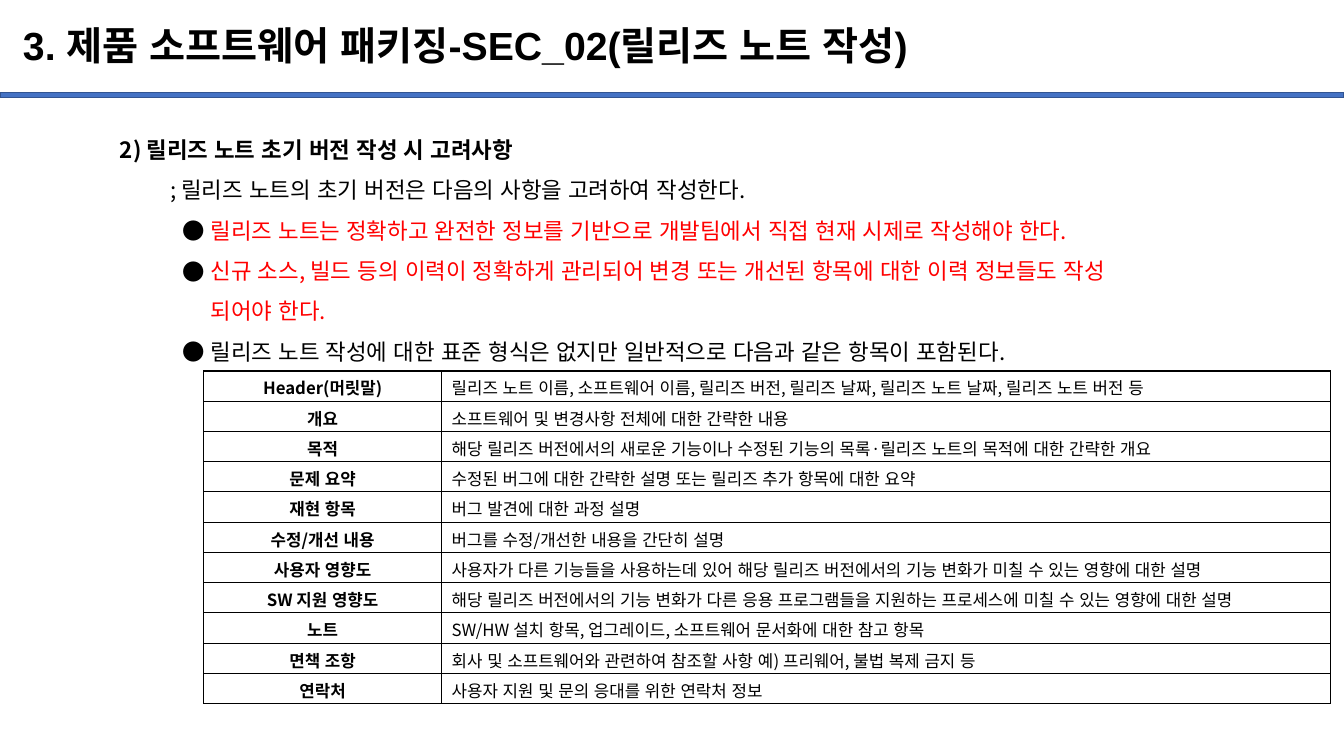
"""Build the slide on writing release notes."""
from lxml.etree import SubElement
from pptx import Presentation
from pptx.dml.color import RGBColor
from pptx.enum.lang import MSO_LANGUAGE_ID
from pptx.enum.shapes import MSO_SHAPE
from pptx.enum.text import MSO_ANCHOR, PP_ALIGN
from pptx.oxml.ns import qn
from pptx.util import Inches, Pt

BLACK = RGBColor(0x00, 0x00, 0x00)
RED = RGBColor(0xFF, 0x00, 0x00)
BLUE = RGBColor(0x44, 0x72, 0xC4)
NAVY = RGBColor(0x32, 0x54, 0x91)
SANS = "Noto Sans CJK KR"


def write(para, text, size=16, color=BLACK, bold=False, font=SANS,
          align=PP_ALIGN.LEFT, space=1.0, left=0, bullet=None):
    para.text = text
    para.alignment = align
    para.line_spacing = space
    props = para._p.get_or_add_pPr()
    props.set("marL", str(Inches(left)))
    if bullet:
        props.set("indent", str(Inches(-0.28)))
        tint = SubElement(props, qn("a:buClr"))
        SubElement(tint, qn("a:srgbClr"), val=str(BLACK))
        SubElement(props, qn("a:buFont"), typeface=SANS)
        SubElement(props, qn("a:buChar"), char=bullet)
    for run in para.runs:
        run.font.size = Pt(size)
        run.font.bold = bold
        run.font.name = font
        run.font.color.rgb = color
        run.font.language_id = MSO_LANGUAGE_ID.KOREAN
        latin = run._r.rPr.find(qn("a:latin"))
        asian = SubElement(run._r.rPr, qn("a:ea"), typeface=SANS)
        latin.addnext(asian)


deck = Presentation()
deck.slide_width = Inches(13.33)
deck.slide_height = Inches(7.5)
slide = deck.slides.add_slide(deck.slide_layouts[6])
shapes = slide.shapes

rule = shapes.add_shape(MSO_SHAPE.RECTANGLE, 0, Inches(0.92), Inches(13.33), Inches(0.05))
rule.shadow.inherit = False
rule.fill.solid()
rule.fill.fore_color.rgb = BLUE
rule.line.color.rgb = NAVY
rule.line.width = Pt(1)

title = shapes.add_textbox(Inches(0.13), Inches(0.1), Inches(11.5), Inches(0.74)).text_frame
title.word_wrap = True
title.vertical_anchor = MSO_ANCHOR.MIDDLE
write(title.paragraphs[0], "3. 제품 소프트웨어 패키징-SEC_02(릴리즈 노트 작성)",
      size=28, bold=True, font="Arial", space=0.9)

body = shapes.add_textbox(Inches(1.09), Inches(1.17), Inches(11.72), Inches(2.52)).text_frame
body.word_wrap = True
write(body.paragraphs[0], "2) 릴리즈 노트 초기 버전 작성 시 고려사항", bold=True, space=1.5)
write(body.add_paragraph(), "; 릴리즈 노트의 초기 버전은 다음의 사항을 고려하여 작성한다.",
      space=1.5, left=0.5)
points = [
    ("릴리즈 노트는 정확하고 완전한 정보를 기반으로 개발팀에서 직접 현재 시제로 작성해야 한다.", RED),
    ("신규 소스, 빌드 등의 이력이 정확하게 관리되어 변경 또는 개선된 항목에 대한 이력 정보들도 작성"
     "\v되어야 한다.", RED),
    ("릴리즈 노트 작성에 대한 표준 형식은 없지만 일반적으로 다음과 같은 항목이 포함된다.", BLACK),
]
for text, color in points:
    write(body.add_paragraph(), text, color=color, space=1.5, left=0.9, bullet="●")

items = [
    ("Header(머릿말)",
     "릴리즈 노트 이름, 소프트웨어 이름, 릴리즈 버전, 릴리즈 날짜, 릴리즈 노트 날짜, 릴리즈 노트 버전 등"),
    ("개요", "소프트웨어 및 변경사항 전체에 대한 간략한 내용"),
    ("목적",
     "해당 릴리즈 버전에서의 새로운 기능이나 수정된 기능의 목록·릴리즈 노트의 목적에 대한 간략한 개요"),
    ("문제 요약", "수정된 버그에 대한 간략한 설명 또는 릴리즈 추가 항목에 대한 요약"),
    ("재현 항목", "버그 발견에 대한 과정 설명"),
    ("수정/개선 내용", "버그를 수정/개선한 내용을 간단히 설명"),
    ("사용자 영향도",
     "사용자가 다른 기능들을 사용하는데 있어 해당 릴리즈 버전에서의 기능 변화가 미칠 수 있는 영향에 대한 설명"),
    ("SW 지원 영향도",
     "해당 릴리즈 버전에서의 기능 변화가 다른 응용 프로그램들을 지원하는 프로세스에 미칠 수 있는 영향에 대한 설명"),
    ("노트", "SW/HW 설치 항목, 업그레이드, 소프트웨어 문서화에 대한 참고 항목"),
    ("면책 조항", "회사 및 소프트웨어와 관련하여 참조할 사항 예) 프리웨어, 불법 복제 금지 등"),
    ("연락처", "사용자 지원 및 문의 응대를 위한 연락처 정보"),
]
table = shapes.add_table(len(items), 2, Inches(2.02), Inches(3.68),
                         Inches(11.18), Inches(0.3 * len(items))).table
table.first_row = False
table.horz_banding = False
table.columns[0].width = Inches(2.36)
table.columns[1].width = Inches(8.82)
for row, texts in zip(table.rows, items):
    row.height = Inches(0.3)
    for col, (cell, text) in enumerate(zip(row.cells, texts)):
        cell.margin_top = Inches(0.04)
        cell.margin_bottom = Inches(0.01)
        cell.vertical_anchor = MSO_ANCHOR.MIDDLE
        write(cell.text_frame.paragraphs[0], text, size=12, bold=col == 0,
              align=PP_ALIGN.LEFT if col else PP_ALIGN.CENTER)
        props = cell._tc.get_or_add_tcPr()
        for side in ("lnL", "lnR", "lnT", "lnB"):
            edge = SubElement(props, qn("a:" + side), w=str(Pt(1)))
            paint = SubElement(edge, qn("a:solidFill"))
            SubElement(paint, qn("a:srgbClr"), val=str(BLACK))
        cell.fill.background()

deck.save("out.pptx")
